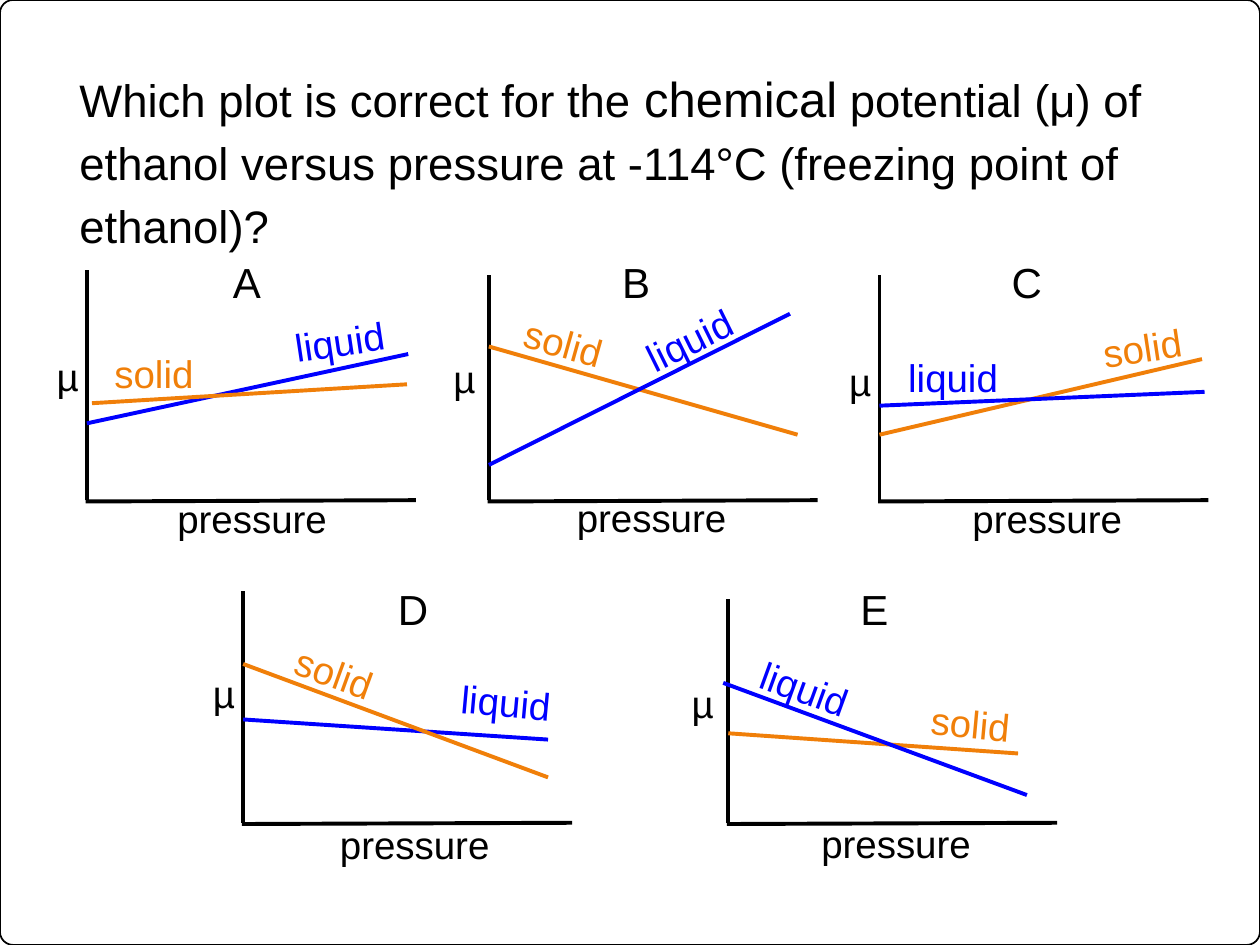
from lxml.etree import SubElement
from pptx import Presentation
from pptx.dml.color import RGBColor
from pptx.enum.shapes import MSO_CONNECTOR as Connector, MSO_SHAPE as Preset
from pptx.enum.text import MSO_ANCHOR as Anchor, MSO_AUTO_SIZE as AutoSize, PP_ALIGN as Align
from pptx.oxml.ns import qn
from pptx.util import Inches, Pt

BLACK = RGBColor(0x00, 0x00, 0x00)
BLUE = RGBColor(0x00, 0x00, 0xFF)
ORANGE = RGBColor(0xF0, 0x7F, 0x09)
PHASE_COLORS = {"liquid": BLUE, "solid": ORANGE}
FONT = "Arial"

QUESTION = [
    ("Which plot is correct for the ", 26),
    ("chemical", 28),
    (" potential (μ) of ethanol versus pressure at -114°C (freezing point of ethanol)?", 26),
]

ROW_BASES = (3.97, 6.53)
AXIS_WIDTH = 2.62
LABEL_HEIGHT = 0.47

# Positions are (right of, above) the origin of each plot.
# A curve is (phase, start, end); its label is (phase, top left, width, rotation).
PLOTS = [
    dict(letter="A", row=0, left=0.69, height=1.83, letter_at=(1.06, 1.98), letter_width=0.37,
         mu_at=(-0.34, 1.22), pressure_at=(0.62, 0.09),
         curves=[("liquid", (0, 0.61), (2.55, 1.16)), ("solid", (0.04, 0.77), (2.54, 0.92))],
         labels=[("liquid", (1.55, 1.5), 0.96, -8.6), ("solid", (0.12, 1.24), 1.1, 0)]),
    dict(letter="B", row=0, left=3.88, height=1.79, letter_at=(0.96, 1.98), letter_width=0.43,
         mu_at=(-0.38, 1.2), pressure_at=(0.6, 0.1),
         curves=[("solid", (0, 1.22), (2.45, 0.52)), ("liquid", (0, 0.28), (2.39, 1.48))],
         labels=[("liquid", (1.12, 1.58), 1.23, -26.3), ("solid", (0.18, 1.48), 0.84, 15.7)]),
    dict(letter="C", row=0, left=6.98, height=1.79, letter_at=(0.95, 1.98), letter_width=0.44,
         mu_at=(-0.34, 1.18), pressure_at=(0.64, 0.09),
         curves=[("solid", (0, 0.52), (2.56, 1.12)), ("liquid", (0, 0.75), (2.58, 0.86))],
         labels=[("solid", (1.67, 1.48), 1.26, -8.6), ("liquid", (0.13, 1.21), 1.1, 0)]),
    dict(letter="D", row=1, left=1.93, height=1.84, letter_at=(1.13, 1.95), letter_width=0.41,
         mu_at=(-0.34, 1.26), pressure_at=(0.67, 0.06),
         curves=[("liquid", (0, 0.82), (2.42, 0.66)), ("solid", (0, 1.26), (2.42, 0.36))],
         labels=[("solid", (0.31, 1.42), 0.84, 20), ("liquid", (1.63, 1.19), 0.95, 5.2)]),
    dict(letter="E", row=1, left=5.78, height=1.78, letter_at=(0.95, 1.95), letter_width=0.2,
         mu_at=(-0.39, 1.18), pressure_at=(0.64, 0.07),
         curves=[("solid", (0, 0.71), (2.3, 0.55)), ("liquid", (-0.04, 1.11), (2.37, 0.22))],
         labels=[("liquid", (0.15, 1.3), 0.92, 20), ("solid", (1.51, 1), 1.34, 5.2)]),
]


def add_run(paragraph, text, size, color=BLACK):
    run = paragraph.add_run()
    run.text = text
    run.font.name = FONT
    run.font.size = Pt(size)
    run.font.color.rgb = color


def add_plot(slide, plot):
    group = slide.shapes.add_group_shape()

    def place(position):
        right, above = position
        return Inches(plot["left"] + right), Inches(ROW_BASES[plot["row"]] - above)

    def add_line(start, end, color=BLACK):
        line = group.shapes.add_connector(Connector.STRAIGHT, *place(start), *place(end))
        line.line.color.rgb = color
        line.line.width = Pt(2.25)
        SubElement(line.element.spPr, qn("a:effectLst"))

    def add_label(text, position, width, height=LABEL_HEIGHT, size=22,
                  color=BLACK, rotation=0, wrap=False):
        box = group.shapes.add_textbox(*place(position), Inches(width), Inches(height))
        box.rotation = rotation
        box.text_frame.word_wrap = wrap
        box.text_frame.auto_size = AutoSize.SHAPE_TO_FIT_TEXT
        add_run(box.text_frame.paragraphs[0], text, size, color)

    add_line((-0.01, -0.01), (AXIS_WIDTH - 0.01, 0))
    add_line((0, 0), (0, plot["height"]))
    add_label("pressure", plot["pressure_at"], 1.4)
    add_label("µ", plot["mu_at"], 0.38)
    for phase, start, end in plot["curves"]:
        add_line(start, end, PHASE_COLORS[phase])
    for phase, position, width, rotation in plot["labels"]:
        add_label(phase, position, width, color=PHASE_COLORS[phase],
                  rotation=rotation, wrap=width > 0.92)
    add_label(plot["letter"], plot["letter_at"], plot["letter_width"],
              height=0.5, size=24, wrap=True)


def add_border(slide, width, height):
    border = slide.shapes.add_shape(Preset.ROUNDED_RECTANGLE, 0, 0, width, height)
    border.adjustments[0] = 0.014
    border.shadow.inherit = False
    border.fill.background()
    border.line.color.rgb = BLACK
    border.line.width = Pt(1)


def set_question(title):
    title.left, title.top = Inches(0.63), Inches(0.47)
    title.width, title.height = Inches(8.8), Inches(1.64)
    frame = title.text_frame
    frame.margin_left = frame.margin_right = frame.margin_top = frame.margin_bottom = 0
    frame.word_wrap = True
    frame.auto_size = AutoSize.NONE
    frame.vertical_anchor = Anchor.TOP
    paragraph = frame.paragraphs[0]
    paragraph.alignment = Align.LEFT
    paragraph.line_spacing = 1.15
    for text, size in QUESTION:
        add_run(paragraph, text, size)


def main():
    presentation = Presentation()
    presentation.slide_width, presentation.slide_height = Inches(10), Inches(7.5)
    slide = presentation.slides.add_slide(presentation.slide_layouts[5])
    add_border(slide, presentation.slide_width, presentation.slide_height)
    set_question(slide.shapes.title)
    for plot in PLOTS:
        add_plot(slide, plot)
    presentation.save("out.pptx")


if __name__ == "__main__":
    main()
